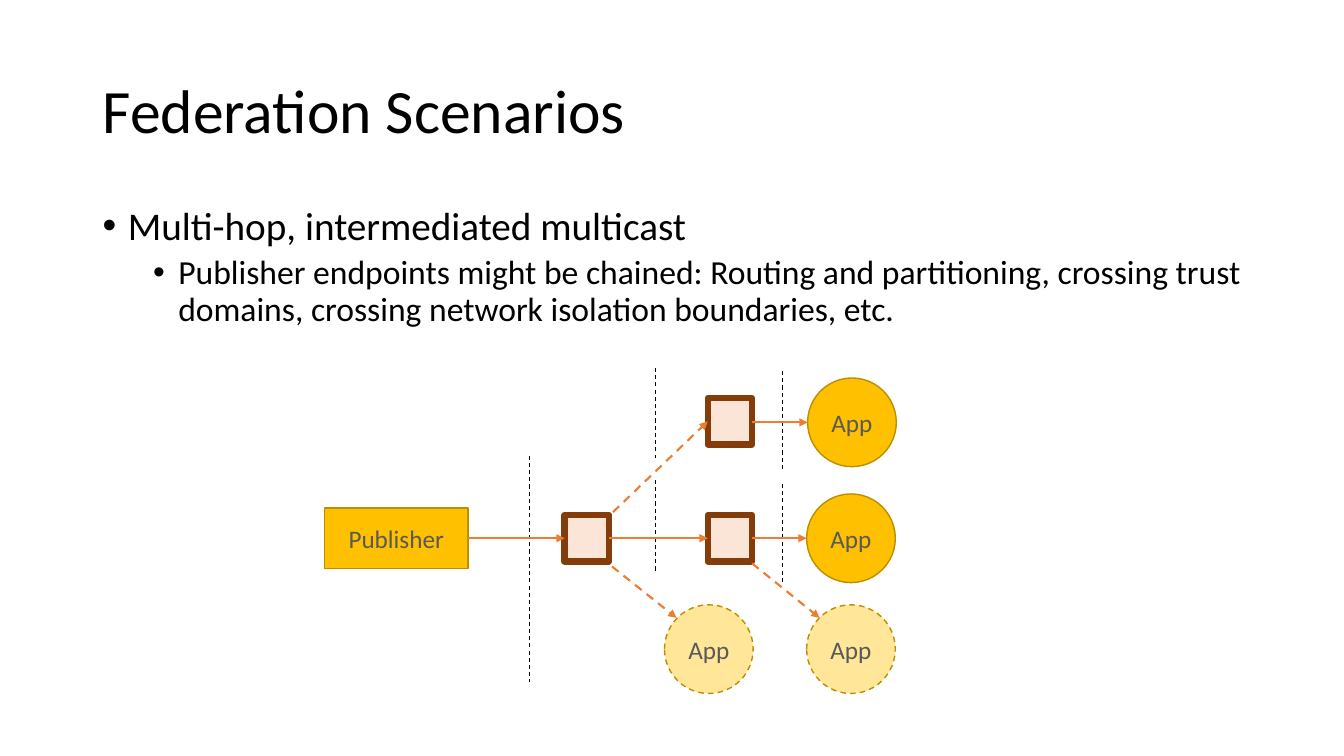
from lxml.etree import SubElement
from pptx import Presentation
from pptx.dml.color import RGBColor
from pptx.enum.dml import MSO_LINE
from pptx.enum.shapes import MSO_CONNECTOR, MSO_SHAPE
from pptx.enum.text import MSO_ANCHOR, PP_ALIGN
from pptx.oxml.ns import qn
from pptx.util import Inches, Pt

FONT = "Calibri"
COLORS = {
    "text": "000000", "label": "595959", "node": "FFC000", "optional": "FFE699",
    "node_line": "BD8E00", "hop": "FBE5D6", "hop_line": "843C0B",
    "arrow": "ED7D31", "boundary": "000000",
}


def rgb(name):
    """Return the named colour."""
    return RGBColor.from_string(COLORS[name])


def add_run(p, text, size, color):
    """Add one formatted run."""
    r = p.add_run()
    r.text = text
    r.font.name = FONT
    r.font.size = Pt(size)
    r.font.color.rgb = rgb(color)


def style_line(line, color, width, dashed):
    """Set the colour, width and dash of a line."""
    line.color.rgb = rgb(color)
    line.width = Pt(width)
    if dashed:
        line.dash_style = MSO_LINE.DASH


def add_text_box(s, x, y, w, h, anchor):
    """Add an empty wrapping text box and return its frame."""
    tf = s.shapes.add_textbox(Inches(x), Inches(y), Inches(w), Inches(h)).text_frame
    tf.word_wrap = True
    tf.vertical_anchor = anchor
    return tf


def add_bullet(p, text, size, left, level=0, before=0):
    """Fill a paragraph as a bullet with a hanging indent."""
    p.level = level
    pPr = p._p.get_or_add_pPr()
    pPr.set("marL", str(Inches(left)))
    pPr.set("indent", str(Inches(-0.25)))
    p.line_spacing = 0.9
    p.space_before = Pt(before)
    SubElement(pPr, qn("a:buFont")).set("typeface", "Arial")
    SubElement(pPr, qn("a:buChar")).set("char", "•")
    add_run(p, text, size, "text")


def add_box(s, kind, x, y, w, h, fill, line, width, text="", dashed=False):
    """Add a filled, outlined shape with an optional centred label."""
    sp = s.shapes.add_shape(kind, Inches(x), Inches(y), Inches(w), Inches(h))
    sp.shadow.inherit = False
    sp.fill.solid()
    sp.fill.fore_color.rgb = rgb(fill)
    style_line(sp.line, line, width, dashed)
    if text:
        tf = sp.text_frame
        tf.word_wrap = False
        tf.vertical_anchor = MSO_ANCHOR.MIDDLE
        p = tf.paragraphs[0]
        p.alignment = PP_ALIGN.CENTER
        add_run(p, text, 18, "label")


def add_app(s, x, y, optional=False):
    """Add an application circle."""
    fill = "optional" if optional else "node"
    add_box(s, MSO_SHAPE.OVAL, x, y, 0.88, 0.88, fill, "node_line", 1, "App", optional)


def add_hop(s, x, y):
    """Add an intermediary endpoint square."""
    add_box(s, MSO_SHAPE.RECTANGLE, x, y, 0.44, 0.46, "hop", "hop_line", 4.5)


def add_line(s, x1, y1, x2, y2, color, width, dashed):
    """Add a straight line without a shadow."""
    c = s.shapes.add_connector(
        MSO_CONNECTOR.STRAIGHT, Inches(x1), Inches(y1), Inches(x2), Inches(y2))
    style_line(c.line, color, width, dashed)
    SubElement(c._element.spPr, qn("a:effectLst"))
    return c


def add_arrow(s, x1, y1, x2, y2, dashed=False):
    """Add a message arrow."""
    c = add_line(s, x1, y1, x2, y2, "arrow", 1.5, dashed)
    SubElement(c.line._get_or_add_ln(), qn("a:tailEnd")).set("type", "triangle")


def add_boundary(s, x, top, bottom):
    """Add a dashed vertical domain boundary."""
    add_line(s, x, top, x, bottom, "boundary", 0.75, True)


def main():
    """Build the slide and save it."""
    prs = Presentation()
    prs.slide_width, prs.slide_height = Inches(13.33), Inches(7.5)
    s = prs.slides.add_slide(prs.slide_layouts[6])

    p = add_text_box(s, 0.92, 0.4, 11.5, 1.45, MSO_ANCHOR.MIDDLE).paragraphs[0]
    p.line_spacing = 0.9
    add_run(p, "Federation Scenarios", 44, "text")

    tf = add_text_box(s, 0.92, 2, 11.5, 2.04, MSO_ANCHOR.TOP)
    add_bullet(tf.paragraphs[0], "Multi-hop, intermediated multicast", 28, 0.25)
    add_bullet(
        tf.add_paragraph(),
        "Publisher endpoints might be chained: Routing and partitioning, crossing "
        "trust domains, crossing network isolation boundaries, etc.",
        24, 0.75, level=1, before=5)

    add_box(s, MSO_SHAPE.RECTANGLE, 3.22, 5.04, 1.42, 0.6,
            "node", "node_line", 1, "Publisher")
    for x, y in ((5.6, 5.11), (7.02, 5.11), (7.02, 3.95)):
        add_hop(s, x, y)
    for x, top, bottom in ((5.25, 4.52, 6.77), (6.5, 3.65, 4.54), (6.5, 4.76, 5.66),
                           (7.76, 3.68, 4.68), (7.76, 4.8, 5.79)):
        add_boundary(s, x, top, bottom)
    for x, y, optional in ((8.01, 3.75, False), (8, 4.9, False),
                           (6.59, 6, True), (8, 6, True)):
        add_app(s, x, y, optional)
    for x1, x2, y in ((4.64, 5.6, 5.34), (6.04, 7.02, 5.34),
                      (7.46, 8, 5.34), (7.46, 8.01, 4.19)):
        add_arrow(s, x1, y, x2, y)
    for ends in ((6.08, 5.08, 7.02, 4.18), (6.07, 5.62, 6.71, 6.13),
                 (7.46, 5.59, 8.13, 6.13)):
        add_arrow(s, *ends, dashed=True)

    prs.save("out.pptx")


if __name__ == "__main__":
    main()
